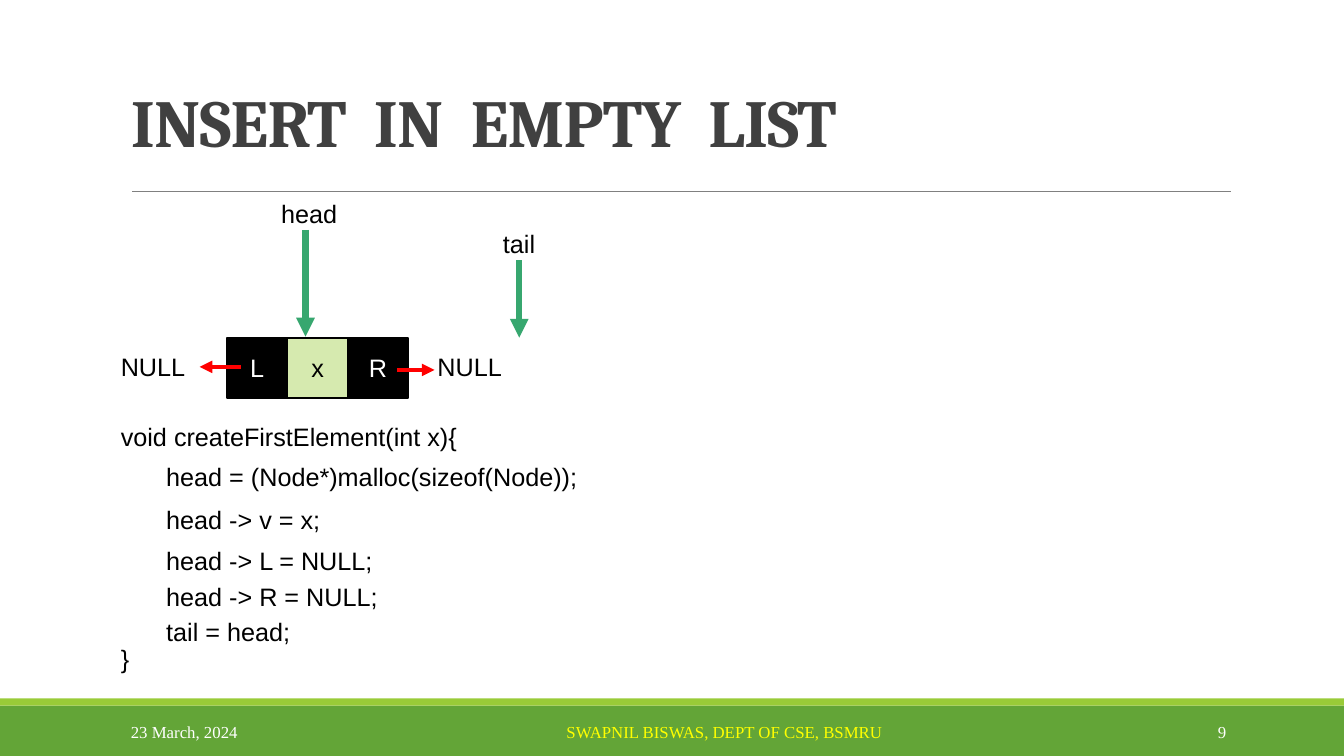
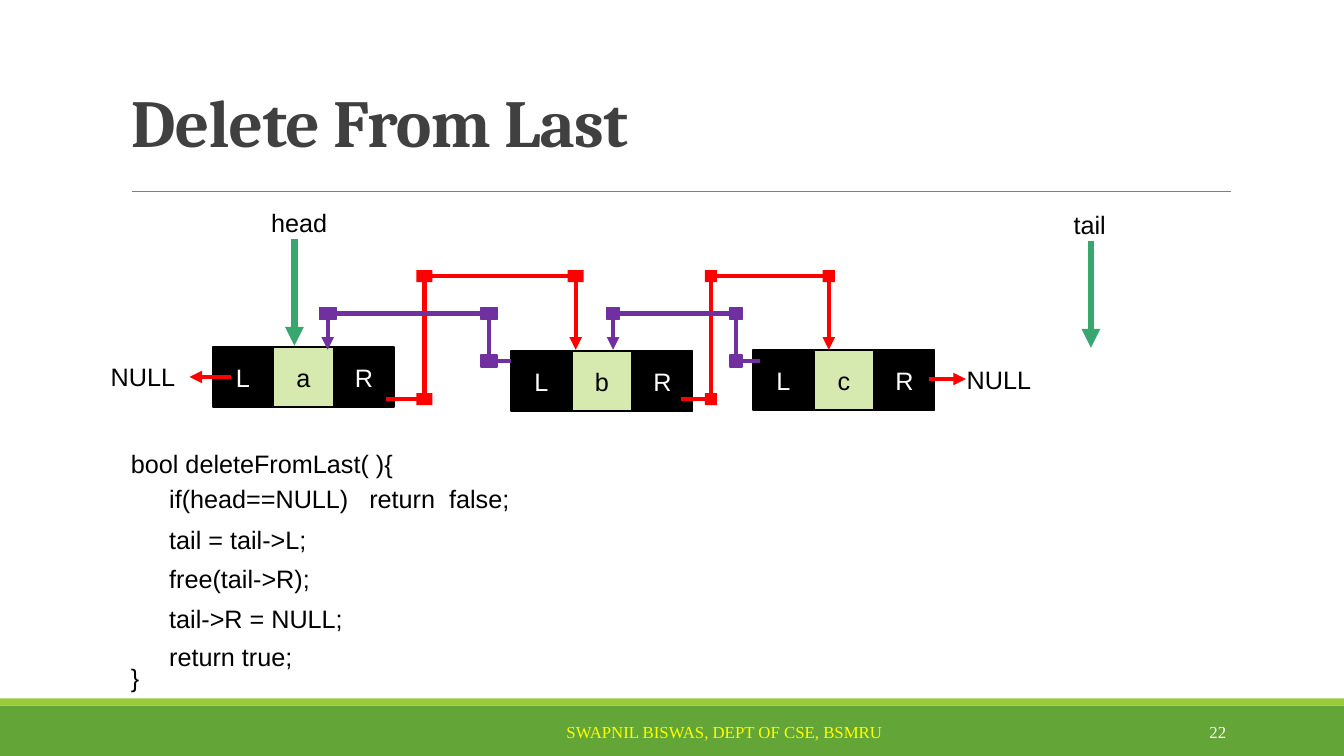
from itertools import pairwise
from typing import NamedTuple

from lxml import etree
from pptx import Presentation
from pptx import util as u
from pptx.dml.color import RGBColor
from pptx.enum import shapes, text
from pptx.oxml import ns

COLORS = {
    "band": "63A537", "stripe": "99CB38", "rule": "808080", "title": "404040",
    "author": "FFFF00", "white": "FFFFFF", "black": "000000", "value": "D6EAAF",
    "pointer": "37A76F", "next": "FF0000", "previous": "7030A0",
}
AUTHOR = "SWAPNIL BISWAS, DEPT OF CSE, BSMRU"
SLIDE_WIDTH = 13.33
CELL = 0.6
LABEL_HEIGHT = 0.4
JOINT_HEIGHT = 0.12
POINTER_DROP = 0.36

Point = tuple[float, float]


class Style(NamedTuple):
    size: float
    face: str
    color: str
    bold: bool = False


class Node(NamedTuple):
    value: str
    left: float
    top: float


class Pointer(NamedTuple):
    label: str
    left: float
    top: float
    x: float
    tip: float


class NullEnd(NamedTuple):
    left: float
    top: float
    start: float
    tip: float
    y: float


class Link(NamedTuple):
    color: str
    joint_width: float
    route: list[Point]


class CodeLine(NamedTuple):
    code: str
    step: float = 0
    indented: bool = True


class Code(NamedTuple):
    left: float
    top: float
    indent: float
    lines: list[CodeLine]


class Lesson(NamedTuple):
    title: str
    number: str
    date: str
    nodes: list[Node]
    links: list[Link]
    null_ends: list[NullEnd]
    pointers: list[Pointer]
    code: Code


BODY = Style(18, "Arial", "black")
CELL_LIGHT = Style(18, "Arial", "white")
TITLE = Style(48, "Cambria", "title", True)
FOOTER = Style(12, "Times New Roman", "white")
FOOTER_AUTHOR = FOOTER._replace(color="author")

LESSONS = [
    Lesson(
        title="INSERT  IN  EMPTY  LIST", number="9", date="23 March, 2024",
        nodes=[Node("x", 2.25, 3.35)],
        links=[],
        null_ends=[NullEnd(1.1, 3.44, 2.39, 1.98, 3.64),
                   NullEnd(4.24, 3.44, 3.94, 4.31, 3.67)],
        pointers=[Pointer("head", 2.69, 1.92, 3.03, 3.34),
                  Pointer("tail", 4.89, 2.22, 5.15, 3.35)],
        code=Code(1.1, 4.13, 0.45, [
            CodeLine("void createFirstElement(int x){", indented=False),
            CodeLine("head = (Node*)malloc(sizeof(Node));", 0.4),
            CodeLine("head -> v = x;", 0.42),
            CodeLine("head -> L = NULL;", 0.41),
            CodeLine("head -> R = NULL;", 0.36),
            CodeLine("tail = head;", 0.35),
            CodeLine("}", 0.26, indented=False),
        ]),
    ),
    Lesson(
        title="Delete From Last", number="22", date="",
        nodes=[Node("a", 2.11, 3.44), Node("b", 5.07, 3.48), Node("c", 7.47, 3.47)],
        links=[
            Link("next", 0.16, [(3.83, 3.96), (4.21, 3.96), (4.21, 2.74),
                                (5.71, 2.74), (5.71, 3.47)]),
            Link("next", 0.12, [(6.75, 3.96), (7.05, 3.96), (7.05, 2.74),
                                (8.22, 2.74), (8.22, 3.47)]),
            Link("previous", 0.16, [(5.07, 3.58), (4.85, 3.58), (4.85, 3.11),
                                    (3.25, 3.11), (3.25, 3.47)]),
            Link("previous", 0.12, [(7.54, 3.58), (7.3, 3.58), (7.3, 3.11),
                                    (6.08, 3.11), (6.08, 3.47)]),
        ],
        null_ends=[NullEnd(1, 3.54, 2.29, 1.88, 3.74),
                   NullEnd(9.49, 3.57, 9.21, 9.58, 3.76)],
        pointers=[Pointer("head", 2.59, 2.01, 2.92, 3.43),
                  Pointer("tail", 10.55, 2.03, 10.82, 3.45)],
        code=Code(1.2, 4.4, 0.38, [
            CodeLine("bool deleteFromLast( ){", indented=False),
            CodeLine("if(head==NULL)   return  false;", 0.35),
            CodeLine("tail = tail->L;", 0.4),
            CodeLine("free(tail->R);", 0.39),
            CodeLine("tail->R = NULL;", 0.4),
            CodeLine("return true;", 0.37),
            CodeLine("}", 0.21, indented=False),
        ]),
    ),
]


def rgb(color: str) -> RGBColor:
    return RGBColor.from_string(COLORS[color])


def style_paragraph(paragraph, style: Style) -> None:
    font = paragraph.font
    font.size = u.Pt(style.size)
    font.name = style.face
    font.bold = style.bold
    font.color.rgb = rgb(style.color)


def add_text(slide, content: str, left: float, top: float, width: float, height: float,
             style: Style, anchor=text.MSO_ANCHOR.TOP, align=text.PP_ALIGN.LEFT):
    """Add a one-paragraph text box and return its paragraph."""
    frame = slide.shapes.add_textbox(
        u.Inches(left), u.Inches(top), u.Inches(width), u.Inches(height)).text_frame
    frame.word_wrap = True
    frame.vertical_anchor = anchor
    paragraph = frame.paragraphs[0]
    paragraph.text = content
    paragraph.alignment = align
    style_paragraph(paragraph, style)
    return paragraph


def add_box(slide, left: float, top: float, width: float, height: float,
            fill: str, outline: str = ""):
    box = slide.shapes.add_shape(
        shapes.MSO_SHAPE.RECTANGLE,
        u.Inches(left), u.Inches(top), u.Inches(width), u.Inches(height))
    box.shadow.inherit = False
    box.fill.solid()
    box.fill.fore_color.rgb = rgb(fill)
    if outline:
        box.line.color.rgb = rgb(outline)
        box.line.width = u.Pt(1.25)
    else:
        box.line.fill.background()
    return box


def add_line(slide, start: Point, end: Point, color: str, width: float,
             arrow: bool = False) -> None:
    connector = slide.shapes.add_connector(
        shapes.MSO_CONNECTOR.STRAIGHT, *(u.Inches(n) for n in (*start, *end)))
    connector.line.color.rgb = rgb(color)
    connector.line.width = u.Pt(width)
    properties = connector._element.spPr
    if arrow:
        outline = properties.find(ns.qn("a:ln"))
        etree.SubElement(outline, ns.qn("a:tailEnd"), type="triangle")
    etree.SubElement(properties, ns.qn("a:effectLst"))


def add_frame(slide, lesson: Lesson) -> None:
    """Add the title, rule, bands and footer that every slide has."""
    add_box(slide, 0, 7, SLIDE_WIDTH, 0.5, "band")
    add_box(slide, 0, 6.93, SLIDE_WIDTH, 0.07, "stripe")
    add_line(slide, (1.31, 1.9), (12.21, 1.9), "rule", 0.5)
    title = add_text(slide, lesson.title, 1.2, 0.06, 11, 1.59, TITLE,
                     text.MSO_ANCHOR.BOTTOM)
    title.line_spacing = 0.85
    title._p.get_or_add_pPr().get_or_add_defRPr().set("spc", "-50")
    middle = text.MSO_ANCHOR.MIDDLE
    if lesson.date:
        add_text(slide, lesson.date, 1.2, 7.06, 2.7, 0.4, FOOTER, middle)
    add_text(slide, AUTHOR, 5.52, 7.11, 3.5, 0.3, FOOTER_AUTHOR)
    add_text(slide, lesson.number, 10.83, 7.06, 1.43, 0.4, FOOTER, middle,
             text.PP_ALIGN.RIGHT)


def add_node(slide, node: Node) -> None:
    cells = [(0, "L", "black", CELL_LIGHT), (2, "R", "black", CELL_LIGHT),
             (1, node.value, "value", BODY)]
    for column, content, fill, style in cells:
        cell = add_box(slide, node.left + column * CELL, node.top, CELL, CELL,
                       fill, "black")
        frame = cell.text_frame
        frame.vertical_anchor = text.MSO_ANCHOR.MIDDLE
        paragraph = frame.paragraphs[0]
        paragraph.text = content
        paragraph.alignment = text.PP_ALIGN.CENTER
        style_paragraph(paragraph, style)


def add_link(slide, link: Link) -> None:
    """Draw a route with a block at each bend and an arrow at its end."""
    for start, end in pairwise(link.route):
        add_line(slide, start, end, link.color, 3, arrow=end == link.route[-1])
    outline = link.color if link.color == "previous" else ""
    for x, y in link.route[1:-1]:
        add_box(slide, x - link.joint_width / 2, y - JOINT_HEIGHT / 2,
                link.joint_width, JOINT_HEIGHT, link.color, outline)


def add_null_end(slide, end: NullEnd) -> None:
    add_text(slide, "NULL", end.left, end.top, 0.94, LABEL_HEIGHT, BODY)
    add_line(slide, (end.start, end.y), (end.tip, end.y), "next", 3, arrow=True)


def add_pointer(slide, pointer: Pointer) -> None:
    add_line(slide, (pointer.x, pointer.top + POINTER_DROP), (pointer.x, pointer.tip),
             "pointer", 4.5, arrow=True)
    add_text(slide, pointer.label, pointer.left, pointer.top, 0.8, LABEL_HEIGHT, BODY)


def add_code(slide, code: Code) -> None:
    height = LABEL_HEIGHT + sum(line.step for line in code.lines)
    frame = slide.shapes.add_textbox(
        u.Inches(code.left), u.Inches(code.top), u.Inches(6), u.Inches(height)).text_frame
    frame.word_wrap = True
    for index, line in enumerate(code.lines):
        paragraph = frame.add_paragraph() if index else frame.paragraphs[0]
        paragraph.text = line.code
        if line.indented:
            paragraph._p.get_or_add_pPr().set("marL", str(u.Inches(code.indent)))
        if line.step:
            paragraph.line_spacing = u.Inches(line.step)
        style_paragraph(paragraph, BODY)


def add_lesson(deck, lesson: Lesson) -> None:
    slide = deck.slides.add_slide(deck.slide_layouts[6])
    add_frame(slide, lesson)
    for draw, parts in ((add_node, lesson.nodes), (add_link, lesson.links),
                        (add_null_end, lesson.null_ends),
                        (add_pointer, lesson.pointers)):
        for part in parts:
            draw(slide, part)
    add_code(slide, lesson.code)


def main() -> None:
    deck = Presentation()
    deck.slide_width = u.Inches(SLIDE_WIDTH)
    deck.slide_height = u.Inches(7.5)
    for lesson in LESSONS:
        add_lesson(deck, lesson)
    deck.save("out.pptx")


if __name__ == "__main__":
    main()
